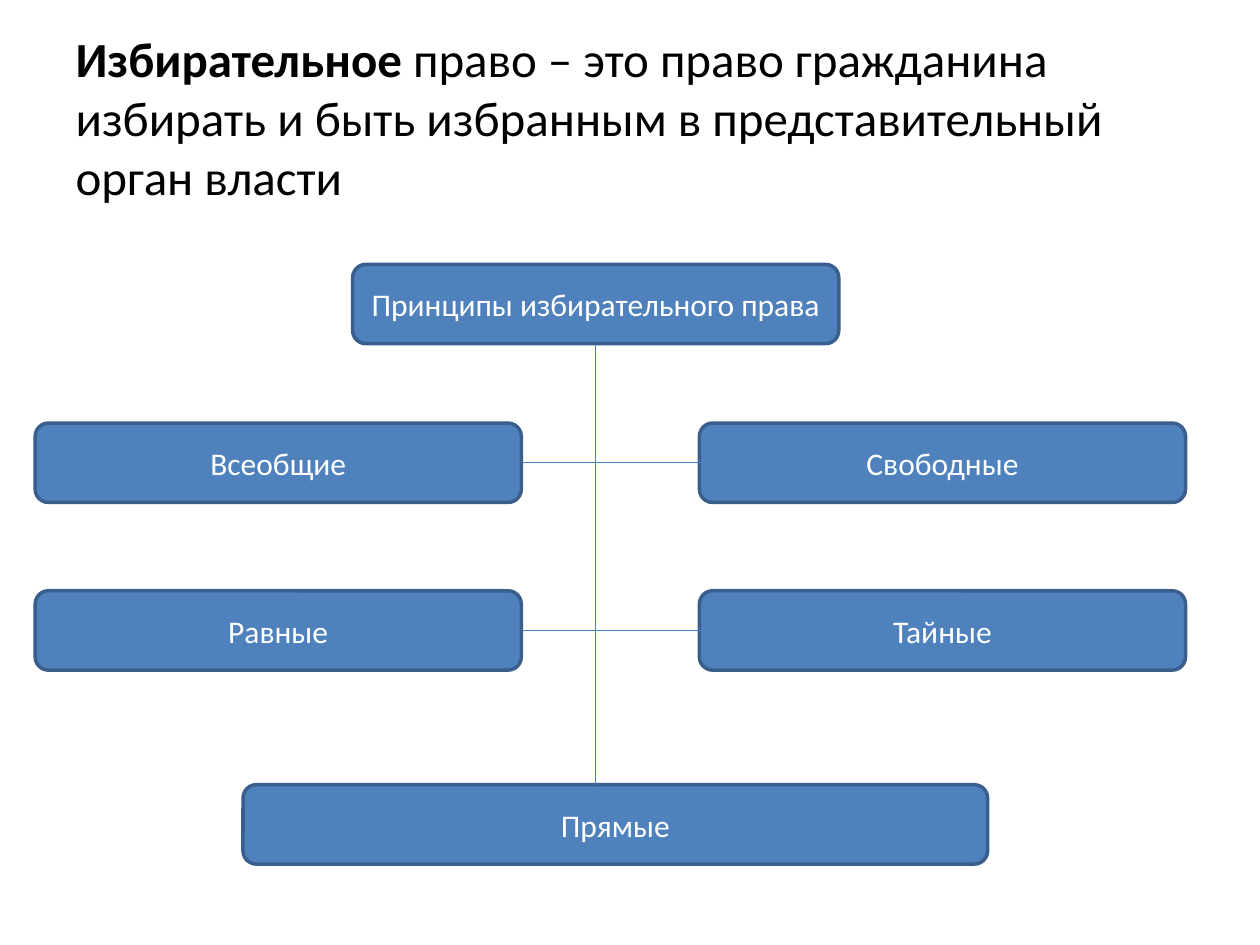
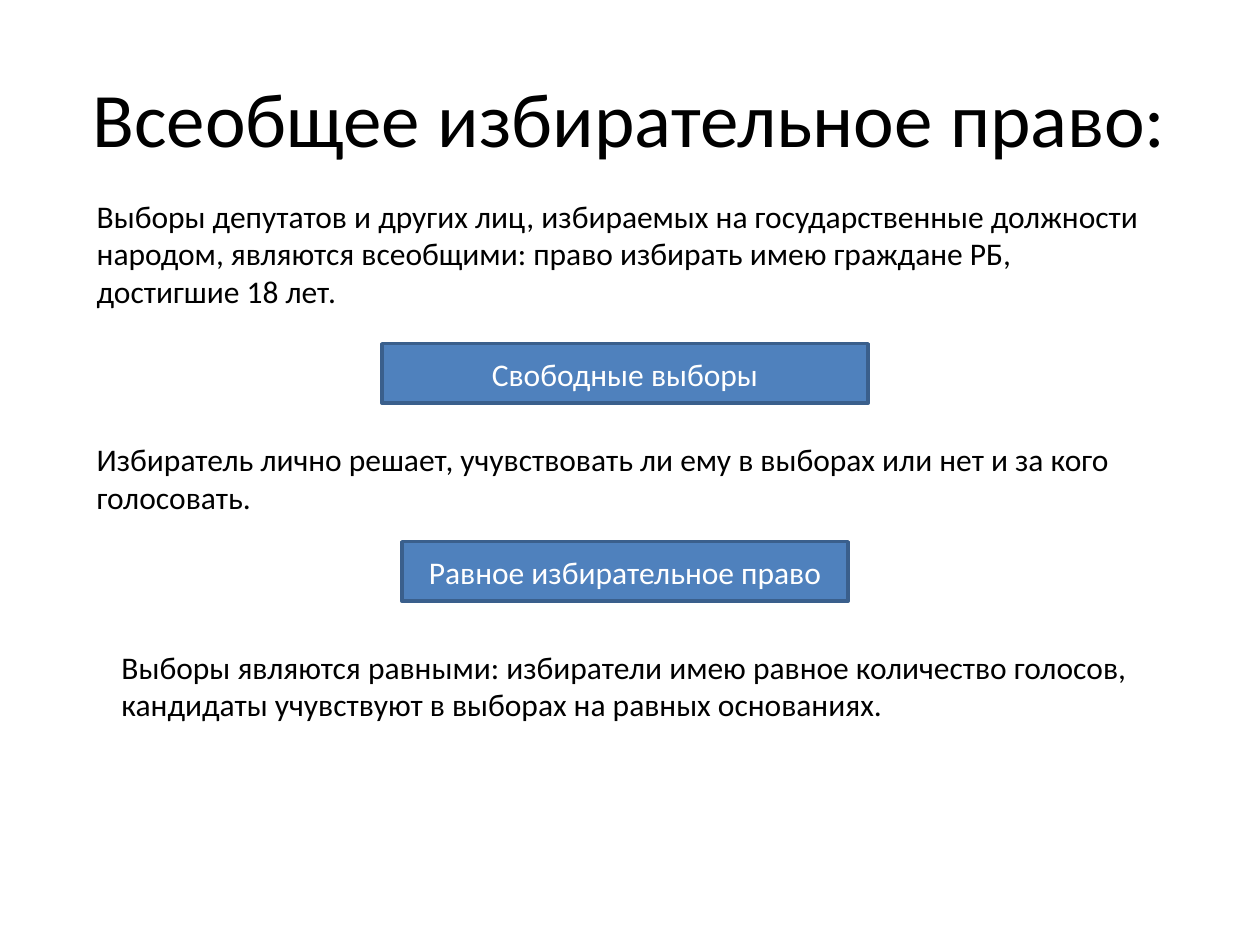
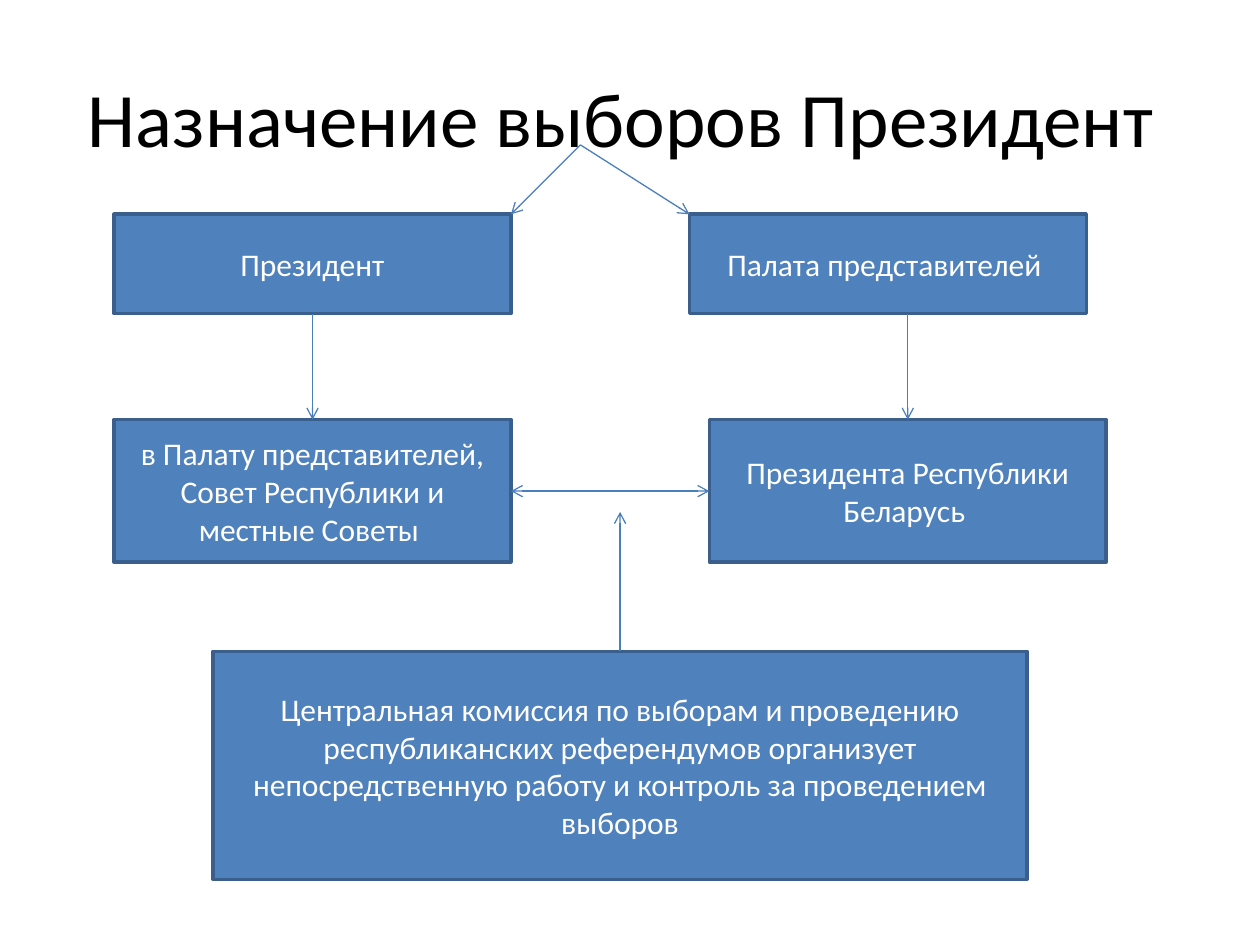
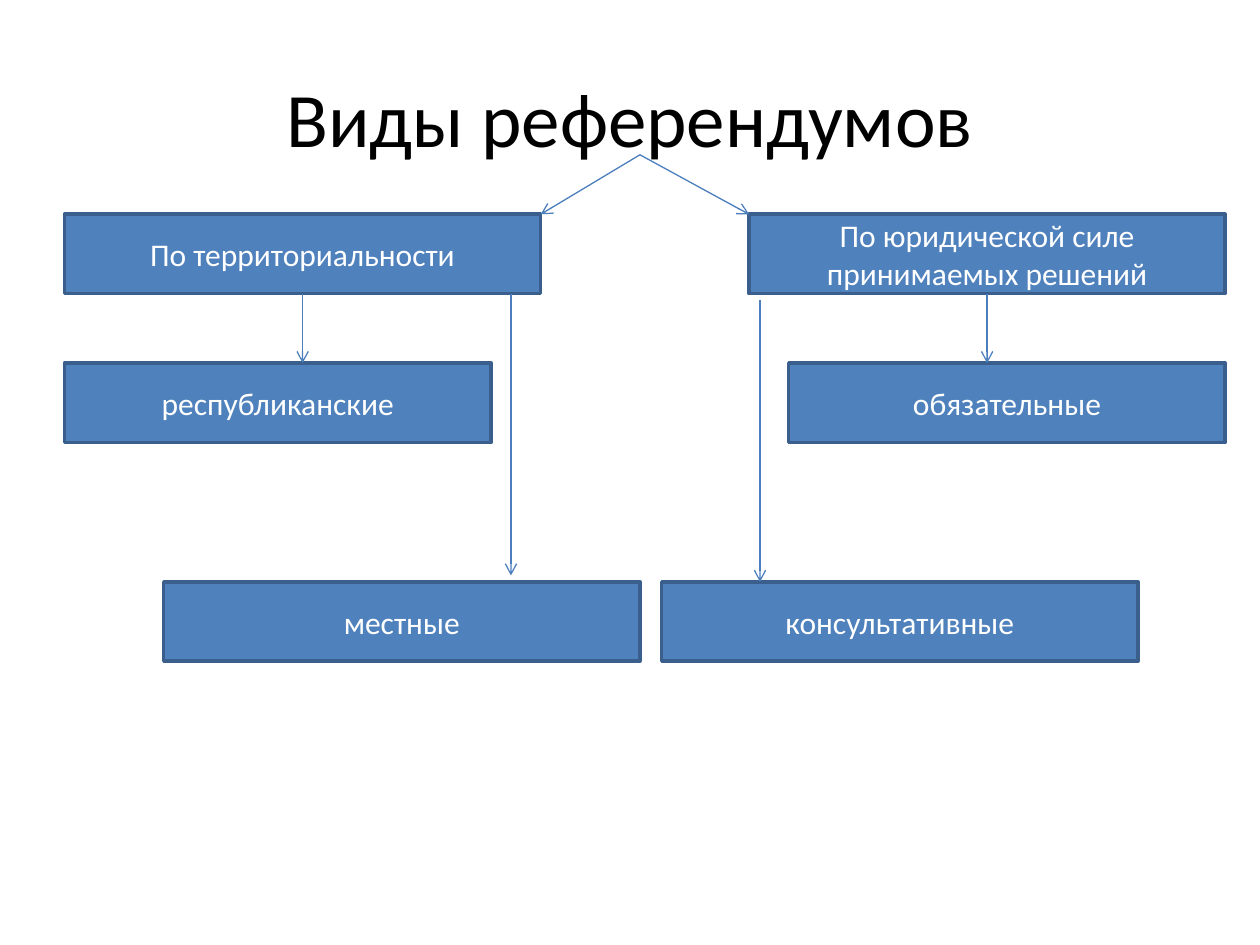
from pptx import Presentation
from pptx.dml.color import RGBColor
from pptx.enum.shapes import MSO_CONNECTOR as Conn, MSO_SHAPE as Form
from pptx.enum.text import MSO_ANCHOR as Anchor, MSO_AUTO_SIZE as Fit, PP_ALIGN as Align
from pptx.oxml.ns import qn
from pptx.util import Cm, Pt
from lxml.etree import SubElement

FONT = "Calibri"
BLACK = RGBColor(0x00, 0x00, 0x00)
WHITE = RGBColor(0xFF, 0xFF, 0xFF)
BLUE = RGBColor(0x4F, 0x81, 0xBD)
EDGE = RGBColor(0x3A, 0x5F, 0x8C)
WIRE = RGBColor(0x4B, 0x7E, 0xBC)


def write(frame, text, size, color, align, bold=False):
    """Add one run to the first paragraph of a text frame."""
    para = frame.paragraphs[0]
    para.alignment = align
    run = para.add_run()
    run.text = text
    font = run.font
    font.name, font.size, font.bold = FONT, Pt(size), bold
    font.color.rgb = color


def draw(slide, form, cards, links):
    """Draw cards (x, y, w, h, text), then links (x1, y1, x2, y2, arrow ends)."""
    for x, y, w, h, text in cards:
        card = slide.shapes.add_shape(form, Cm(x), Cm(y), Cm(w), Cm(h))
        card.shadow.inherit = False
        card.fill.solid()
        card.fill.fore_color.rgb = BLUE
        card.line.color.rgb = EDGE
        card.line.width = Pt(2)
        frame = card.text_frame
        frame.word_wrap = True
        frame.vertical_anchor = Anchor.MIDDLE
        write(frame, text, 18, WHITE, Align.CENTER)
    for x1, y1, x2, y2, ends in links:
        link = slide.shapes.add_connector(Conn.STRAIGHT, Cm(x1), Cm(y1), Cm(x2), Cm(y2))
        link.line.color.rgb = WIRE
        link.line.width = Pt(0.75)
        for end in ends:
            SubElement(link.line._get_or_add_ln(), qn(f"a:{end}"), type="arrow")
        SubElement(link._element.spPr, qn("a:effectLst"))


LINE = ()
ARROW = ("tailEnd",)
BOTH = ("headEnd", "tailEnd")

prs = Presentation()
prs.slide_width, prs.slide_height = Cm(25.4), Cm(19.05)

# Slides with their titles: size, alignment, runs (text, bold)
heads = [
    (28, Align.LEFT, [
        ("Избирательное ", True),
        ("право – это право гражданина избирать и быть избранным "
         "в представительный орган власти", False)]),
    (44, Align.CENTER, [("Всеобщее избирательное право:", False)]),
    (44, Align.CENTER, [("Назначение выборов Президент ", False)]),
    (44, Align.CENTER, [("Виды референдумов", False)]),
]
slides = []
for size, align, runs in heads:
    slide = prs.slides.add_slide(prs.slide_layouts[5])
    title = slide.shapes.title
    title.left, title.top, title.width, title.height = Cm(1.27), Cm(0.76), Cm(22.86), Cm(3.18)
    title.text_frame.vertical_anchor = Anchor.MIDDLE
    for text, bold in runs:
        write(title.text_frame, text, size, BLACK, align, bold)
    slides.append(slide)
rights, voting, calls, kinds = slides

# Slide 1: principles of suffrage
wide, high = 9.8, 1.6
left, right = 0.71, 14.1
cards = [(7.11, 5.33, wide, high, "Принципы избирательного права")]
for y, pair in ((8.53, ("Всеобщие", "Свободные")), (11.91, ("Равные", "Тайные"))):
    for x, text in zip((left, right), pair):
        cards.append((x, y, wide, high, text))
cards.append((4.9, 15.82, 15.01, high, "Прямые"))
draw(rights, Form.ROUNDED_RECTANGLE, cards, [
    (12, 6.93, 12, 15.82, LINE),
    (left + wide, 9.33, 14.5, 9.33, LINE),
    (left + wide, 12.71, 14.9, 12.71, LINE),
])

# Slide 2: universal, free and equal voting
notes = [
    (1.7, 3.84, 2.57, "Выборы депутатов и других лиц, избираемых на государственные "
     "должности народом, являются всеобщими: право избирать имею граждане РБ, "
     "достигшие 18 лет."),
    (1.7, 8.74, 1.8, "Избиратель лично решает, учувствовать ли ему в выборах или нет "
     "и за кого голосовать."),
    (2.2, 12.93, 1.8, "Выборы являются равными: избиратели имею равное количество "
     "голосов, кандидаты учувствуют в выборах на равных основаниях."),
]
for x, y, h, text in notes:
    frame = voting.shapes.add_textbox(Cm(x), Cm(y), Cm(21.8), Cm(h)).text_frame
    frame.word_wrap = True
    frame.auto_size = Fit.SHAPE_TO_FIT_TEXT
    write(frame, text, 18, BLACK, Align.LEFT)
draw(voting, Form.RECTANGLE, [
    (7.7, 6.93, 9.8, 1.2, "Свободные выборы"),
    (8.1, 10.92, 9, 1.2, "Равное избирательное право"),
], [])

# Slide 3: who calls the elections
left, wide = 2.3, 8
edge = left + wide
top, row, base = 4.32, 8.46, 13.13
draw(calls, Form.RECTANGLE, [
    (left, top, wide, 2, "Президент"),
    (13.9, top, wide, 2, "Палата представителей "),
    (14.3, row, wide, 2.87, "Президента Республики Беларусь "),
    (left, row, wide, 2.87, "в Палату представителей, Совет Республики и местные Советы "),
    (4.3, base, 16.4, 4.6, "Центральная комиссия по выборам и проведению "
     "республиканских референдумов организует непосредственную работу и контроль "
     "за проведением выборов"),
], [
    (11.7, 2.92, edge, top, ARROW),
    (12.5, base, 12.5, 10.32, ARROW),
    (11.7, 2.92, 13.9, top, ARROW),
    (edge, 9.9, 14.3, 9.9, BOTH),
    (left + wide / 2, top + 2, left + wide / 2, row, ARROW),
    (18.3, top + 2, 18.3, row, ARROW),
])

# Slide 4: kinds of referendum
left, right = 1.3, 15.1
wide, high = 9.6, 1.6
row, base = 7.32, 11.73
draw(kinds, Form.RECTANGLE, [
    (left, top, wide, high, "По территориальности"),
    (right, top, wide, high, "По юридической силе принимаемых решений"),
    (left, row, 8.6, high, "республиканские"),
    (15.9, row, 8.8, high, "обязательные"),
    (3.3, base, wide, high, "местные"),
    (13.34, base, wide, high, "консультативные"),
], [
    (12.9, 3.12, left + wide, top, ARROW),
    (12.9, 3.12, right, top, ARROW),
    (left + wide / 2, top + high, left + wide / 2, row, ARROW),
    (right + wide / 2, top + high, right + wide / 2, row, ARROW),
    (15.32, 6.05, 15.32, base, ARROW),
    (10.3, top + high, 10.3, 11.6, ARROW),
])

prs.save("out.pptx")
